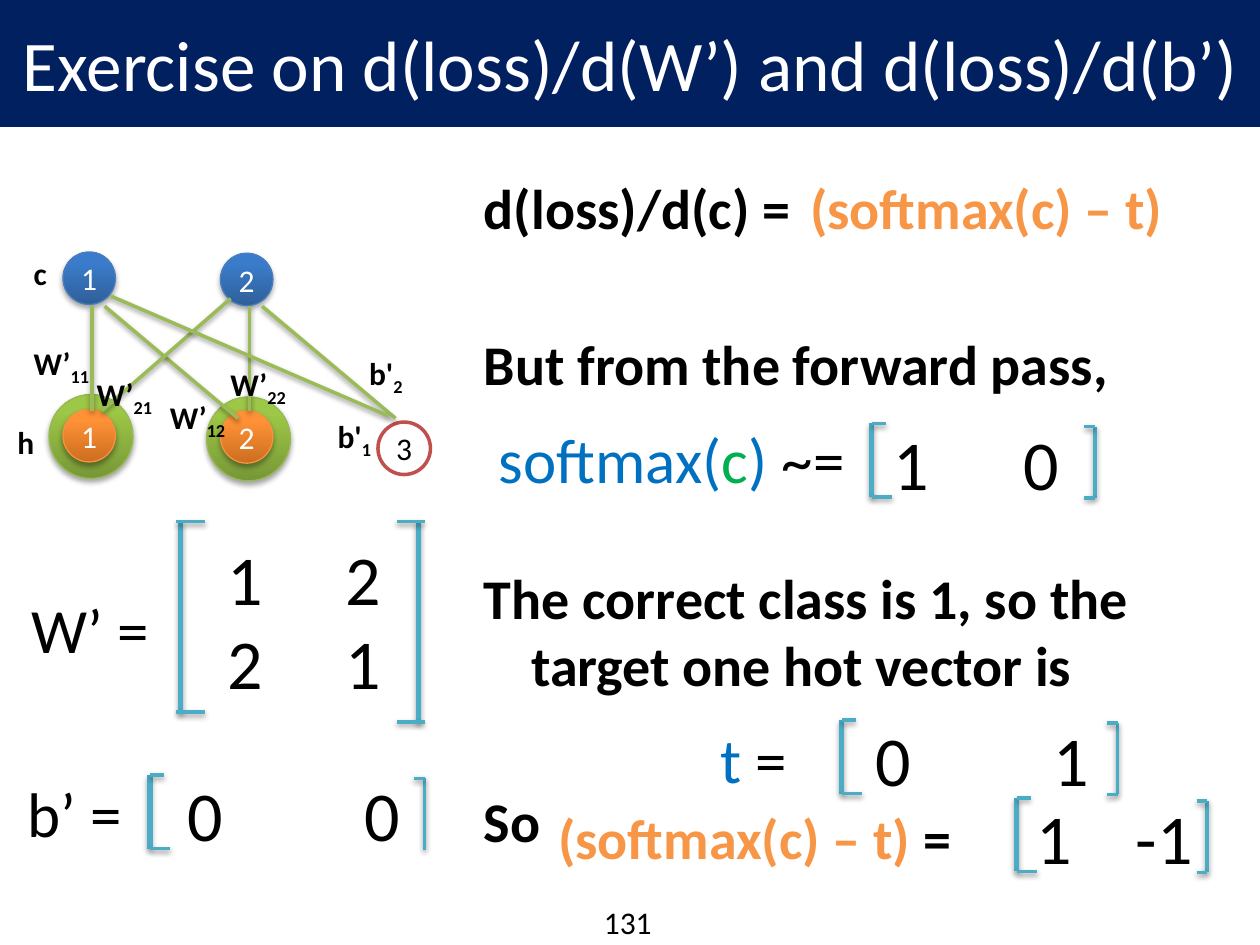
from lxml.etree import SubElement
from pptx import Presentation
from pptx.dml.color import RGBColor
from pptx.enum.shapes import MSO_CONNECTOR, MSO_SHAPE
from pptx.enum.text import MSO_ANCHOR, MSO_AUTO_SIZE, PP_ALIGN
from pptx.oxml.ns import qn
from pptx.util import Pt

COLORS = {
    "navy": "002060", "white": "FFFFFF", "black": "000000", "edge": "9BBB59",
    "bracket": "4BACC6", "orange": "F79646", "blue": "0070C0", "green": "00B050",
    "red": "C0504D", "ring_dark": "779737", "ring_light": "9DC746", "ring_line": "98B955",
    "output_dark": "2F5F99", "output_light": "3A7CCB", "output_line": "4B7EBC",
    "hidden_dark": "CC6E20", "hidden_light": "FF9136", "hidden_line": "F69240",
}
TITLE = "Exercise on d(loss)/d(W’) and d(loss)/d(b’)"
BODY = [
    ("d(loss)/d(c) =", 0),
    ("But from the forward pass,", 50.6),
    ("The correct class is 1, so the target one hot vector is", 95),
    ("So", 50.6),
]
NODES = [
    ("ring", "", 118, 226.8, 48), ("ring", "", 28, 225.4, 48),
    ("output", "1", 36, 144, 30), ("hidden", "1", 36, 234, 30),
    ("output", "2", 126, 144.7, 30), ("hidden", "2", 126, 234.7, 30),
    ("bias", "3", 216, 241.2, 30),
]
EDGES = [
    (52.5, 175, 52.5, 234.7), (142.5, 175, 142.5, 234.7),
    (149.8, 175, 226, 239), (59.8, 175, 136, 239),
    (131.8, 170.6, 58.3, 234.7), (63.4, 169.2, 221.8, 237.6),
]
WEIGHT_LABELS = [
    ("W’", "11", 12.2, 193, 48), ("W’", "21", 48.2, 211, 48),
    ("W’", "12", 90, 224, 48), ("W’", "22", 124.6, 205.2, 48),
    ("b'", "1", 185.8, 234.7, 34.6), ("b'", "2", 203.8, 198.7, 34.6),
    ("h", "", 2.9, 238.3, 24.5), ("c", "", 12.2, 141.8, 22.3),
]
FORMULAS = [
    ([("W’ =", "black")], 10.8, 334, 83, 36, False),
    ([("b’ =", "black")], 8.6, 439.2, 69, 36, False),
    ([("(softmax(c) – t)", "orange")], 455.8, 95.8, 226, 32, True),
    ([("softmax(", "blue"), ("c", "green"), (")", "blue"), (" ~=", "black")],
     278, 236.9, 215, 36, False),
    ([("(softmax(c) – t)", "orange"), (" =", "black")], 311.8, 455.8, 257, 32, True),
    ([("t", "blue"), (" =", "black")], 404.6, 408.2, 52.6, 36, False),
    ([("131", "black")], 338, 512.6, 44, 18, False),
]
VECTORS = [
    ("0\t0", 85.7, 242.6, 443, 99.8, 101.5, False),
    ("1\t0", 498.2, 625.7, 242, 503.3, 74.5, True),
    ("0\t1", 481, 638.6, 411.5, 493.2, 101.5, True),
    ("1\t-1", 581, 689.8, 456, 585.4, 56.5, True),
]
WEIGHT_ROWS = ["1\t2", "2\t1"]


def color(name):
    return RGBColor.from_string(COLORS[name])


def set_values(target, **values):
    for name, value in values.items():
        setattr(target, name, value)


def add_run(paragraph, text, size, color_name, bold=False):
    run = paragraph.add_run()
    run.text = text
    set_values(run.font, name="Calibri", size=Pt(size), bold=bold)
    run.font.color.rgb = color(color_name)
    return run


def add_box(slide, left, top, width, height, wrap=False):
    box = slide.shapes.add_textbox(Pt(left), Pt(top), Pt(width), Pt(height))
    box.text_frame.word_wrap = wrap
    return box.text_frame


def add_shadow(shape, distance, opacity):
    effects = SubElement(shape._element.spPr, qn("a:effectLst"))
    shadow = SubElement(effects, qn("a:outerShdw"), blurRad=str(Pt(3.1)),
                        dist=str(Pt(distance)), dir="5400000", rotWithShape="0")
    black = SubElement(shadow, qn("a:srgbClr"), val=COLORS["black"])
    SubElement(black, qn("a:alpha"), val=str(opacity * 1000))


def add_line(slide, points, color_name, width=2):
    line = slide.shapes.add_connector(MSO_CONNECTOR.STRAIGHT, *map(Pt, points))
    line.line.color.rgb = color(color_name)
    line.line.width = Pt(width)
    add_shadow(line, *((1.8, 35) if width == 3 else (1.6, 38)))


def add_bracket(slide, x, top, bottom, upper, lower, width, overhang=0):
    add_line(slide, (x, top, x, bottom), "bracket", width)
    for y, tick in ((top, upper), (bottom, lower)):
        if tick:
            add_line(slide, (x - overhang, y, x + tick, y), "bracket")


def add_node(slide, kind, text, left, top, size):
    node = slide.shapes.add_shape(MSO_SHAPE.OVAL, Pt(left), Pt(top), Pt(size), Pt(size))
    if kind == "bias":
        node.shadow.inherit = False
        node.fill.solid()
        node.fill.fore_color.rgb = color("white")
        node.line.color.rgb = color("red")
        node.line.width = Pt(2)
    else:
        node.fill.gradient()
        node.fill.gradient_angle = 90
        for stop, shade, position in zip(node.fill.gradient_stops, ("dark", "light"), (0, 0.8)):
            stop.color.rgb = color(f"{kind}_{shade}")
            stop.position = position
        node.line.color.rgb = color(f"{kind}_line")
        node.line.width = Pt(0.75)
        add_shadow(node, 1.8, 35)
    if text:
        set_values(node.text_frame, word_wrap=False, vertical_anchor=MSO_ANCHOR.MIDDLE)
        paragraph = node.text_frame.paragraphs[0]
        paragraph.alignment = PP_ALIGN.CENTER
        add_run(paragraph, text, 18, "black" if kind == "bias" else "white")


def add_rows(slide, rows, left, top, tab):
    frame = add_box(slide, left, top, tab + 56, 6 + 49 * len(rows), wrap=True)
    for index, row in enumerate(rows):
        paragraph = frame.add_paragraph() if index else frame.paragraphs[0]
        stops = SubElement(paragraph._p.get_or_add_pPr(), qn("a:tabLst"))
        SubElement(stops, qn("a:tab"), pos=str(Pt(tab)), algn="l")
        add_run(paragraph, row, 40, "black")


def fill_placeholders(slide):
    title, body = slide.shapes.title, slide.placeholders[1]
    set_values(title, left=0, top=0, width=Pt(720), height=Pt(72))
    set_values(body, left=Pt(269.3), top=Pt(95.8), width=Pt(447.8), height=Pt(426.2))
    title.fill.solid()
    title.fill.fore_color.rgb = title.line.color.rgb = color("navy")
    title.line.width = Pt(0.75)
    set_values(title.text_frame, auto_size=MSO_AUTO_SIZE.NONE,
               vertical_anchor=MSO_ANCHOR.MIDDLE)
    title.text_frame.paragraphs[0].alignment = PP_ALIGN.CENTER
    add_run(title.text_frame.paragraphs[0], TITLE, 40.7, "white")
    body.text_frame.auto_size = MSO_AUTO_SIZE.NONE
    for index, (text, gap) in enumerate(BODY):
        paragraph = body.text_frame.add_paragraph() if index else body.text_frame.paragraphs[0]
        paragraph.space_before = Pt(gap)
        properties = paragraph._p.get_or_add_pPr()
        properties.set("marL", str(Pt(27)))
        properties.set("indent", str(Pt(-27)))
        SubElement(properties, qn("a:buNone"))
        add_run(paragraph, text, 32, "black", True)


def main():
    """Build the slide on the gradients of the output weights and biases."""
    presentation = Presentation()
    set_values(presentation, slide_width=Pt(720), slide_height=Pt(540))
    slide = presentation.slides.add_slide(presentation.slide_layouts[1])
    fill_placeholders(slide)
    for node in NODES:
        add_node(slide, *node)
    for edge in EDGES:
        add_line(slide, edge, "edge")
    for text, subscript, left, top, width in WEIGHT_LABELS:
        paragraph = add_box(slide, left, top, width, 29).paragraphs[0]
        add_run(paragraph, text, 18, "black", True)
        if subscript:
            run = add_run(paragraph, subscript, 18, "black", True)
            run._r.get_or_add_rPr().set("baseline", "-25000")
    for runs, left, top, width, size, bold in FORMULAS:
        paragraph = add_box(slide, left, top, width, size * 1.22 + 7.2).paragraphs[0]
        for text, color_name in runs:
            add_run(paragraph, text, size, color_name, bold)
    add_bracket(slide, 103, 298, 407, 14.4, 14.4, 3, 2.2)
    add_bracket(slide, 239, 298, 412.6, -12.2, -12.2, 3, -3.6)
    add_rows(slide, WEIGHT_ROWS, 123.1, 302.4, 67.5)
    for text, left, right, top, text_left, tab, closed in VECTORS:
        add_bracket(slide, left, top, top + 42, 8, 11.5, 3)
        add_bracket(slide, right, top + 1.8, top + 42.5, -6, -6 if closed else 0, 2)
        add_rows(slide, [text], text_left, top - 5.5, tab)
    presentation.save("out.pptx")


if __name__ == "__main__":
    main()
